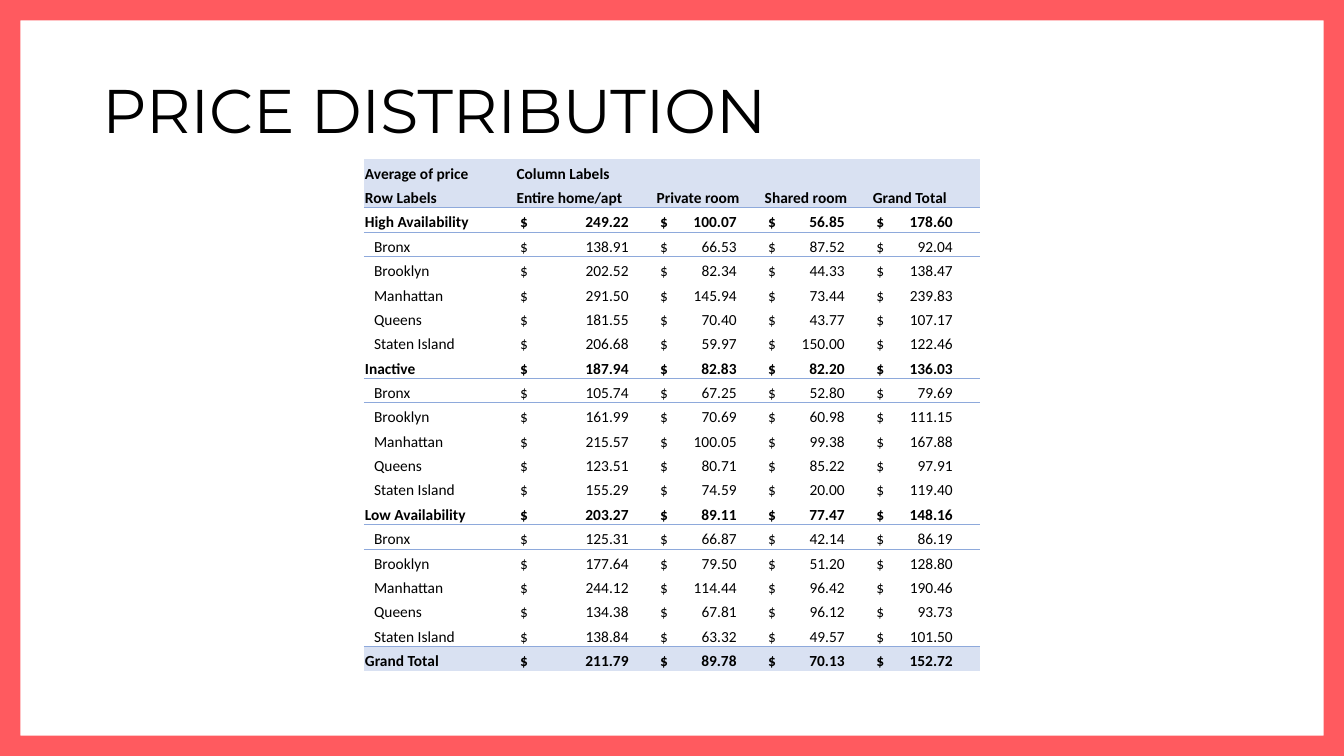
from lxml import etree
from pptx import Presentation
from pptx.dml.color import RGBColor
from pptx.enum import shapes, text
from pptx.oxml.ns import qn
from pptx.util import Pt

CORAL = RGBColor(0xFF, 0x5A, 0x5F)
PALE_BLUE = RGBColor(0xD9, 0xE1, 0xF2)
LINE_BLUE = RGBColor(0x8E, 0xA9, 0xDB)
BLACK = RGBColor(0, 0, 0)
NO_STYLE = "{2D5ABB26-0587-4C30-8999-92F81FD0307C}"

BOROUGHS = ["Bronx", "Brooklyn", "Manhattan", "Queens", "Staten Island"]
HEADERS = [
    ["Average of price", "Column Labels", "", "", ""],
    ["Row Labels", "Entire home/apt", "Private room", "Shared room", "Grand Total"],
]
# Each group: its own averages, then one line per borough
GROUPS = {
    "High Availability": [
        (249.22, 100.07, 56.85, 178.60),
        (138.91, 66.53, 87.52, 92.04),
        (202.52, 82.34, 44.33, 138.47),
        (291.50, 145.94, 73.44, 239.83),
        (181.55, 70.40, 43.77, 107.17),
        (206.68, 59.97, 150.00, 122.46),
    ],
    "Inactive": [
        (187.94, 82.83, 82.20, 136.03),
        (105.74, 67.25, 52.80, 79.69),
        (161.99, 70.69, 60.98, 111.15),
        (215.57, 100.05, 99.38, 167.88),
        (123.51, 80.71, 85.22, 97.91),
        (155.29, 74.59, 20.00, 119.40),
    ],
    "Low Availability": [
        (203.27, 89.11, 77.47, 148.16),
        (125.31, 66.87, 42.14, 86.19),
        (177.64, 79.50, 51.20, 128.80),
        (244.12, 114.44, 96.42, 190.46),
        (134.38, 67.81, 96.12, 93.73),
        (138.84, 63.32, 49.57, 101.50),
    ],
}
TOTALS = (211.79, 89.78, 70.13, 152.72)
COLUMN_WIDTHS = [108.3, 100.1, 77.2, 77.2, 77.2]
ROW_HEIGHT = 17.42
AMOUNT_INDENT = 20  # from the amount's right edge to the column's right edge


def add_border(cell, side):
    line = etree.Element(qn("a:" + side), w=str(Pt(0.5)))
    fill = etree.SubElement(line, qn("a:solidFill"))
    etree.SubElement(fill, qn("a:srgbClr"), val=str(LINE_BLUE))
    cell._tc.get_or_add_tcPr().insert(0, line)


def add_span(para, words, size, font, bold=False):
    span = para.add_run()
    span.text = words
    span.font.size = Pt(size)
    span.font.name = font
    span.font.bold = bold
    span.font.color.rgb = BLACK


deck = Presentation()
deck.slide_width, deck.slide_height = Pt(960), Pt(540)
page = deck.slides.add_slide(deck.slide_layouts[5])

# Coral frame, behind the title
frame = page.shapes.add_shape(shapes.MSO_SHAPE.FRAME, 0, 0, Pt(960), Pt(540))
frame.adjustments[0] = 0.027
frame.shadow.inherit = False
frame.fill.solid()
frame.fill.fore_color.rgb = CORAL
frame.line.fill.background()
page.shapes.title.element.addprevious(frame.element)

# Title
title = page.shapes.title
title.left, title.top, title.width, title.height = Pt(66), Pt(28.75), Pt(828), Pt(104.4)
title.text_frame.auto_size = text.MSO_AUTO_SIZE.NONE
title.text_frame.vertical_anchor = text.MSO_ANCHOR.MIDDLE
heading = title.text_frame.paragraphs[0]
heading.alignment = text.PP_ALIGN.LEFT
heading.line_spacing = 0.9
add_span(heading, "PRICE DISTRIBUTION", 44, "Montserrat")

# Rows of the price table
rows = list(HEADERS)
for group, lines in GROUPS.items():
    for label, prices in zip([group] + BOROUGHS, lines):
        rows.append([label, *prices])
rows.append(["Grand Total", *TOTALS])
last = len(rows) - 1
filled_rows = {0, 1, last}
ruled_rows = {1, last - 1} | {r for r, row in enumerate(rows) if row[0] in GROUPS}

# Price table
holder = page.shapes.add_table(len(rows), len(COLUMN_WIDTHS), Pt(260), Pt(113.6),
                               Pt(sum(COLUMN_WIDTHS)), Pt(ROW_HEIGHT * len(rows)))
table = holder.table
table.first_row = table.horz_banding = False
next(holder.element.iter(qn("a:tableStyleId"))).text = NO_STYLE
for column, width in zip(table.columns, COLUMN_WIDTHS):
    column.width = Pt(width)

for r, row in enumerate(rows):
    table.rows[r].height = Pt(ROW_HEIGHT)
    is_borough = row[0] in BOROUGHS
    for c, value in enumerate(row):
        cell = table.cell(r, c)
        cell.vertical_anchor = text.MSO_ANCHOR.BOTTOM
        cell.margin_left = Pt(7.2 if is_borough and c == 0 else 0.7)
        cell.margin_top = cell.margin_right = Pt(0.7)
        cell.margin_bottom = 0
        if r in filled_rows:
            cell.fill.solid()
            cell.fill.fore_color.rgb = PALE_BLUE
        else:
            cell.fill.background()
        if r in ruled_rows:
            add_border(cell, "lnB")
        if r - 1 in ruled_rows:
            add_border(cell, "lnT")

        para = cell.text_frame.paragraphs[0]
        if isinstance(value, float):
            # Dollar sign at the left, amount on a right tab stop
            stops = etree.SubElement(para._p.get_or_add_pPr(), qn("a:tabLst"))
            stop = Pt(COLUMN_WIDTHS[c] - AMOUNT_INDENT)
            etree.SubElement(stops, qn("a:tab"), pos=str(stop), algn="r")
            value = f" $\t{value:.2f}"
        if value:
            add_span(para, value, 11, "Calibri", not is_borough)
        else:
            etree.SubElement(para._p, qn("a:endParaRPr"), sz="1100")

deck.save("out.pptx")
